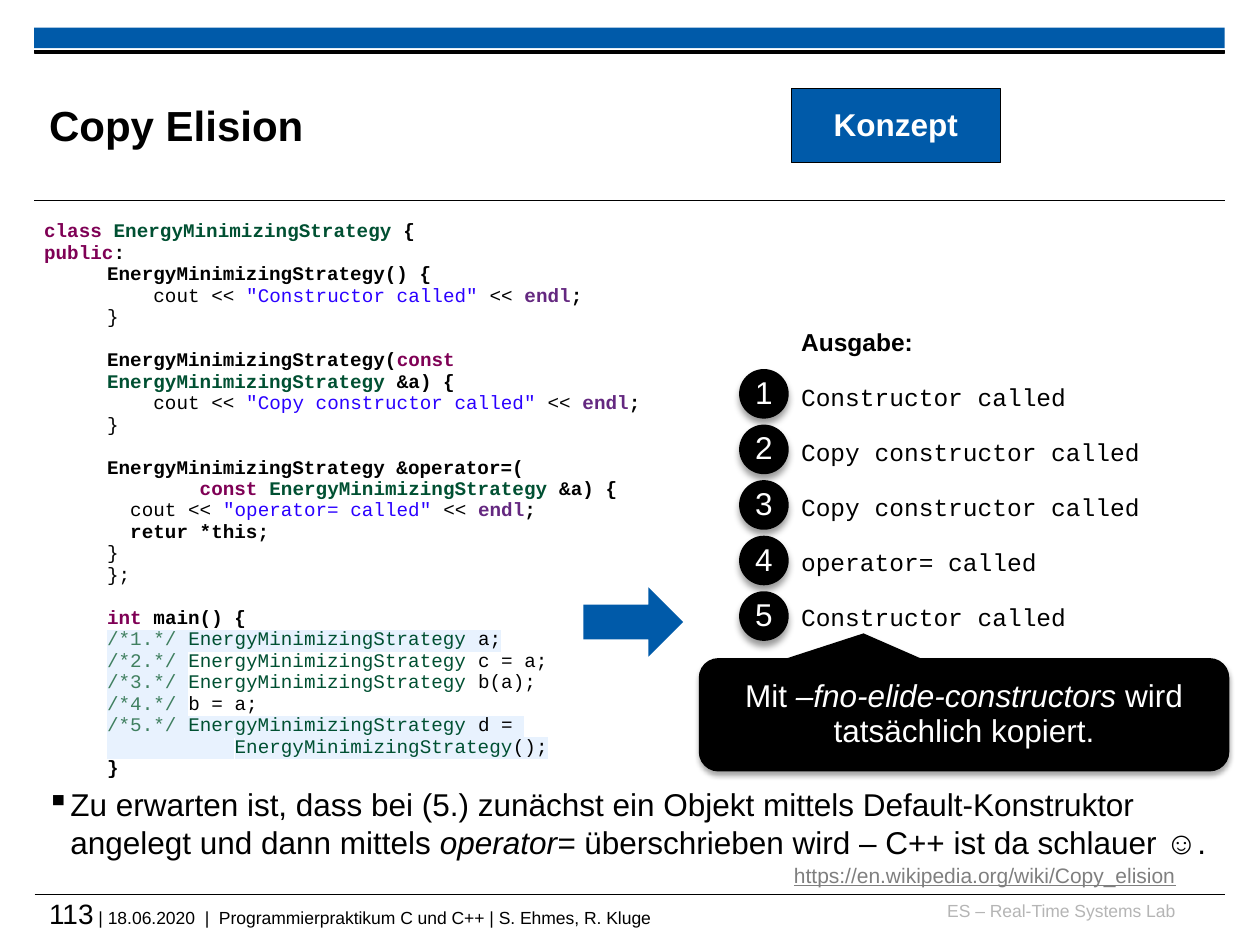
from pptx import Presentation
from pptx.util import Cm, Pt
from pptx.dml.color import RGBColor as Rgb
from pptx.enum.shapes import MSO_SHAPE as Kind, MSO_CONNECTOR as Wire
from pptx.enum.text import PP_ALIGN as Align, MSO_ANCHOR as Anchor
from pptx.oxml.ns import qn
from lxml.etree import SubElement as Sub

HUES = {
    "blue": "005AA9", "black": "000000", "white": "FFFFFF", "pale": "B5B5B5",
    "gray": "7F7F7F", "key": "7F0055", "type": "005032", "text": "2A00FF",
    "end": "642880", "note": "3F7F5F", "mark": "E8F2FE",
}
STYLES = {
    "key": ("key", True, False), "type": ("type", True, False),
    "bold": ("black", True, False), "end": ("end", True, False),
    "plain": ("black", False, False), "text": ("text", False, False),
    "name": ("type", False, False), "note": ("note", False, True),
    "markname": ("type", False, True), "mark": ("black", False, True),
}
CLASS = "EnergyMinimizingStrategy"


def cout(lead, text):
    return [(lead + "cout << ", "plain"), (f'"{text}"', "text"),
            (" << ", "plain"), ("endl", "end"), (";", "bold")]


BLOCKS = [
    [
        [("class ", "key"), (CLASS, "type"), (" {", "bold")],
        [("public", "key"), (":", "bold")],
        [(CLASS + "() {", "bold")],
        cout("    ", "Constructor called"),
        [("}", "plain")],
    ],
    [
        [(CLASS + "(", "bold"), ("const ", "key"), (CLASS, "type"), (" &a) {", "bold")],
        cout("    ", "Copy constructor called"),
        [("}", "plain")],
    ],
    [
        [(CLASS + " &operator=(", "bold")],
        [("        const ", "key"), (CLASS, "type"), (" &a) {", "bold")],
        cout("  ", "operator= called"),
        [("  retur *this;", "bold")],
        [("}", "plain")],
        [("};", "plain")],
    ],
    [
        [("int", "key"), (" main() {", "bold")],
        [("/*1.*/ ", "note"), (CLASS, "markname"), (" a;", "mark")],
        [("/*2.*/ ", "note"), (CLASS, "name"), (" c = a;", "plain")],
        [("/*3.*/ ", "note"), (CLASS, "name"), (" b(a);", "plain")],
        [("/*4.*/ ", "note"), ("b = a;", "plain")],
        [("/*5.*/ ", "note"), (CLASS, "markname"), (" d = ", "mark")],
        [("           ", "mark"), (CLASS, "markname"), ("();", "mark")],
        [("}", "bold")],
    ],
]
OUTPUT = ["Constructor called", "Copy constructor called",
          "Copy constructor called", "operator= called", "Constructor called"]


def rgb(hue):
    return Rgb.from_string(HUES[hue])


def set_font(font, size, hue="black", name="Arial", bold=False):
    font.size, font.name, font.bold = Pt(size), name, bold
    font.color.rgb = rgb(hue)


def add_text(slide, area, pad=True):
    frame = slide.shapes.add_textbox(*map(Cm, area)).text_frame
    frame.word_wrap = True
    if not pad:
        strip(frame)
    return frame


def strip(frame):
    frame.margin_left = frame.margin_right = 0
    frame.margin_top = frame.margin_bottom = 0


def next_para(frame, first):
    return frame.paragraphs[0] if first else frame.add_paragraph()


def add_run(para, text):
    run = para.add_run()
    run.text = text
    return run


def add_shape(slide, kind, area, fill="black", line=None):
    shape = slide.shapes.add_shape(kind, *map(Cm, area))
    shape.shadow.inherit = False
    shape.fill.solid()
    shape.fill.fore_color.rgb = rgb(fill)
    if line:
        shape.line.color.rgb = rgb(line)
        shape.line.width = Pt(0.75)
    else:
        shape.line.fill.background()
    return shape


def add_label(shape, parts, bold=False):
    frame = shape.text_frame
    frame.vertical_anchor = Anchor.MIDDLE
    para = frame.paragraphs[0]
    para.alignment, para.line_spacing = Align.CENTER, 0.93
    set_font(para.font, 18, "white", bold=bold)
    for text, slant in parts:
        add_run(para, text).font.italic = slant


def add_shadow(shape, alpha, blur, dist):
    glow = Sub(shape._element.spPr.find(qn("a:effectLst")), qn("a:outerShdw"),
               blurRad=str(Pt(blur)), dist=str(Pt(dist)), dir="5400000",
               algn="ctr", rotWithShape="0")
    tint = Sub(glow, qn("a:srgbClr"), val=HUES["black"])
    Sub(tint, qn("a:alpha"), val=str(alpha * 1000))


def add_rule(slide, left, top):
    rule = slide.shapes.add_connector(
        Wire.STRAIGHT, Cm(left), Cm(top), Cm(left + 24), Cm(top))
    rule.line.color.rgb = rgb("black")
    rule.line.width = Pt(0.6)
    Sub(rule._element.spPr, qn("a:effectLst"))


def add_code(slide):
    frame = add_text(slide, (0.64, 4.32, 13.03, 11.63))
    for b, block in enumerate(BLOCKS):
        for i, line in enumerate(block):
            para = next_para(frame, b + i == 0)
            para.line_spacing = 0.93
            if b and i == 0:
                para.space_before = Pt(12.3)
            if b or i > 1:
                para._p.get_or_add_pPr().set("marL", str(Cm(1.27)))
            para.font.size, para.font.name = Pt(11), "Courier New"
            for text, style in line:
                hue, bold, mark = STYLES[style]
                run = add_run(para, text)
                run.font.bold = bold
                run.font.color.rgb = rgb(hue)
                if mark:
                    high = Sub(run._r.rPr, qn("a:highlight"))
                    Sub(high, qn("a:srgbClr"), val=HUES["mark"])


def add_output(slide):
    frame = add_text(slide, (15.9, 6.53, 8.41, 6.38))
    for i, text in enumerate(["Ausgabe:"] + OUTPUT):
        para = next_para(frame, i == 0)
        para.text, para.line_spacing = text, 0.93
        if i:
            para.space_before = Pt(15.8)
        set_font(para.font, 14, name="Courier New" if i else "Arial", bold=i == 0)
    for i in range(len(OUTPUT)):
        dot = add_shape(slide, Kind.OVAL, (14.9, 7.44 + 1.12 * i, 1, 1))
        add_shadow(dot, 40, 4, 3)
        dot.text_frame.word_wrap = False
        add_label(dot, [(str(i + 1), False)])


def add_point(slide):
    para = add_text(slide, (0.69, 15.7, 24, 2.24)).paragraphs[0]
    props = para._p.get_or_add_pPr()
    props.set("marL", str(Cm(0.48)))
    props.set("indent", str(-Cm(0.48)))
    Sub(props, qn("a:buChar"), char="▪")
    set_font(para.font, 18)
    add_run(para, "Zu erwarten ist, dass bei (5.) zunächst ein Objekt mittels "
                  "Default-Konstruktor angelegt und dann mittels ")
    add_run(para, "operator=").font.italic = True
    add_run(para, " überschrieben wird – C++ ist da schlauer ☺.")


def add_frame(slide):
    add_rule(slide, 0.7, 18.03)
    add_shape(slide, Kind.RECTANGLE, (0.69, 0.56, 24, 0.41), "blue")
    add_rule(slide, 0.69, 4.04)
    add_shape(slide, Kind.RECTANGLE, (0.69, 1.02, 24, 0.05), line="black")
    lab = add_text(slide, (18.69, 18.14, 5, 0.64), pad=False).paragraphs[0]
    lab.text, lab.alignment = "ES – Real-Time Systems Lab", Align.RIGHT
    set_font(lab.font, 10, "pale")
    foot = add_text(slide, (0.99, 18.08, 23.7, 0.84), pad=False).paragraphs[0]
    set_font(foot.font, 10)
    add_run(foot, "113").font.size = Pt(16)
    add_run(foot, " | 18.06.2020  |  Programmierpraktikum C und C++ | S. Ehmes, R. Kluge")


def set_title(slide):
    title = slide.shapes.title
    title.left, title.top, title.width, title.height = map(Cm, (0.99, 1.35, 19.1, 2.34))
    frame = title.text_frame
    strip(frame)
    frame.vertical_anchor = Anchor.MIDDLE
    para = frame.paragraphs[0]
    para.text, para.alignment = "Copy Elision", Align.LEFT
    set_font(para.font, 24, bold=True)


def add_link(slide):
    para = add_text(slide, (15.75, 17.3, 8.2, 0.74)).paragraphs[0]
    para.text, para.alignment = "https://en.wikipedia.org/wiki/Copy_elision", Align.RIGHT
    para.line_spacing = 0.93
    set_font(para.font, 12, "gray")
    para.font.underline = True


def main():
    deck = Presentation()
    deck.slide_width, deck.slide_height = Cm(25.4), Cm(19.05)
    slide = deck.slides.add_slide(deck.slide_layouts[5])
    add_frame(slide)
    set_title(slide)
    add_point(slide)
    add_code(slide)
    add_shape(slide, Kind.RIGHT_ARROW, (11.76, 11.84, 2.01, 1.4), "blue")
    add_output(slide)
    call = add_shape(slide, Kind.ROUNDED_RECTANGULAR_CALLOUT,
                     (14.1, 13.28, 10.67, 2.26), line="black")
    for i, value in enumerate((-0.19, -0.72, 0.17)):
        call.adjustments[i] = value
    add_shadow(call, 35, 3.1, 1.8)
    add_label(call, [("Mit ", False), ("–fno-elide-constructors", True),
                     (" wird tatsächlich kopiert.", False)])
    add_link(slide)
    badge = add_shape(slide, Kind.RECTANGLE, (15.95, 1.78, 4.22, 1.5), "blue", "black")
    add_label(badge, [("Konzept", False)], bold=True)
    deck.save("out.pptx")


if __name__ == "__main__":
    main()
